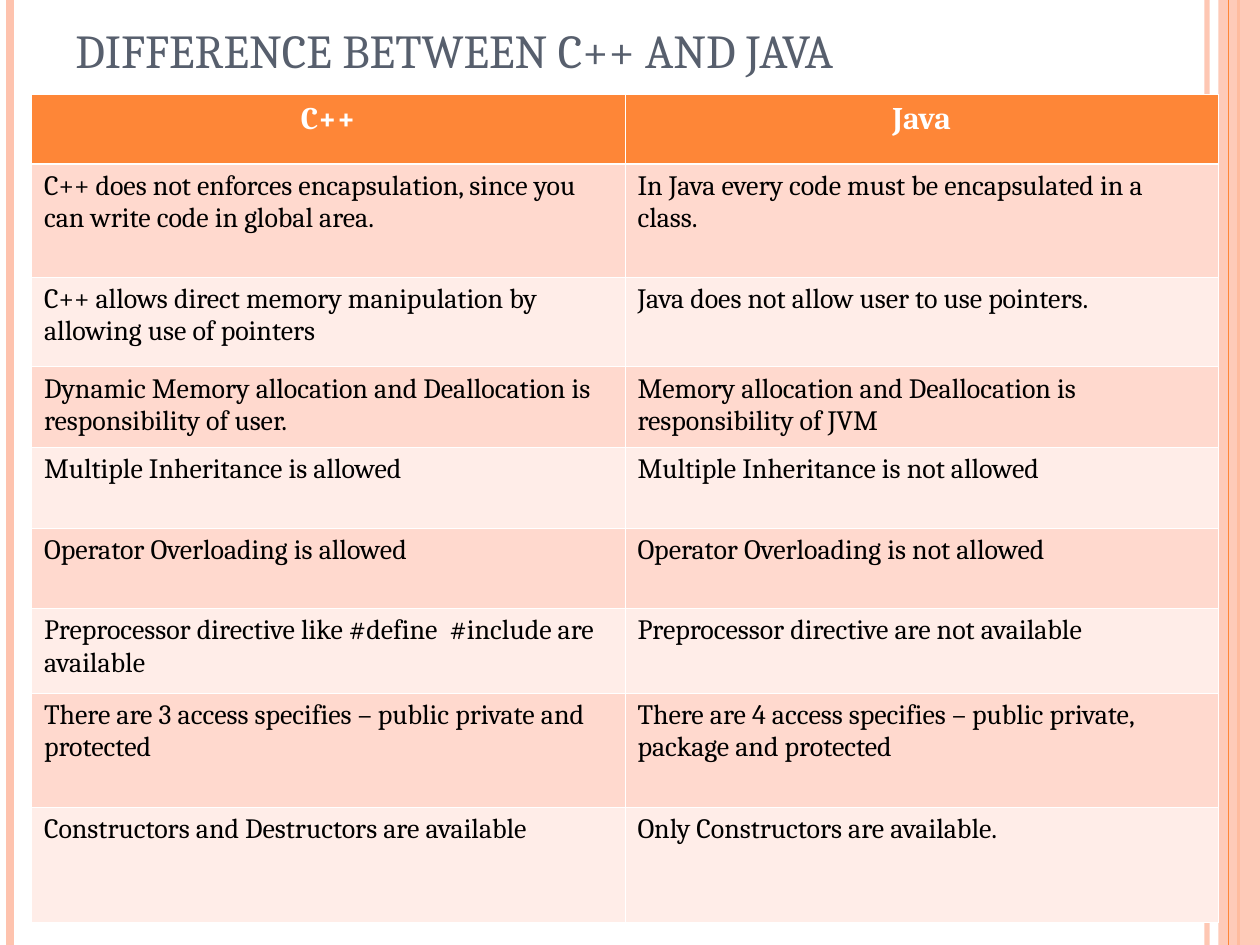
"""Build a slide comparing C++ and Java in a two-column table."""
from lxml import etree
from pptx import Presentation
from pptx.dml.color import RGBColor
from pptx.enum import shapes, text
from pptx.oxml import ns
from pptx.util import Inches, Pt

ORANGE = RGBColor(0xFE, 0x86, 0x37)
PEACH = RGBColor(0xFE, 0xC3, 0xAE)
ROSE = RGBColor(0xFF, 0xD9, 0xCE)
CREAM = RGBColor(0xFF, 0xED, 0xE8)
SLATE = RGBColor(0x57, 0x5F, 0x6D)
WHITE = RGBColor(0xFF, 0xFF, 0xFF)
BLACK = RGBColor(0, 0, 0)
FONT = "Cambria"

TITLE = "DIFFERENCE BETWEEN C++ AND JAVA"
ROWS = [
    (0.55, "C++", "Java"),
    (0.9, "C++ does not enforces encapsulation, since you can write code in global area.",
     "In Java every code must be encapsulated in a class."),
    (0.71, "C++ allows direct memory manipulation by allowing use of pointers",
     "Java does not allow user to use pointers."),
    (0.64, "Dynamic Memory allocation and Deallocation is responsibility of user.",
     "Memory allocation and Deallocation is responsibility of JVM"),
    (0.64, "Multiple Inheritance is allowed", "Multiple Inheritance is not allowed"),
    (0.64, "Operator Overloading is allowed", "Operator Overloading is not allowed"),
    (0.67, "Preprocessor directive like #define  #include are available",
     "Preprocessor directive are not available"),
    (0.91, "There are 3 access specifies – public private and protected",
     "There are 4 access specifies – public private, package and protected"),
    (0.91, "Constructors and Destructors are available", "Only Constructors are available."),
]
LINES = [(9.58, PEACH, 3, 93), (0.08, PEACH, 4.5, 100), (9.83, ORANGE, 1.5, 100)]
EDGE = (9.75, ORANGE, 0.75, 100)
BAND = (9.67, 0, 0.33, 7.5)
COLS = 2
WIDTH = 9.42


def fade(node, pct):
    if pct < 100:
        tint = next(node.iter(ns.qn("a:srgbClr")))
        etree.SubElement(tint, ns.qn("a:alpha"), val=str(pct * 1000))


def style(para, size, color, bold=False):
    font = para.font
    font.name, font.size, font.bold = FONT, Pt(size), bold
    font.color.rgb = color


def add_line(slide, x, color, width, alpha):
    line = slide.shapes.add_connector(
        shapes.MSO_CONNECTOR.STRAIGHT, Inches(x), 0, Inches(x), Inches(7.5))
    line.line.color.rgb = color
    line.line.width = Pt(width)
    props = line.element.spPr
    fade(props, alpha)
    etree.SubElement(props, ns.qn("a:effectLst"))


def add_band(slide):
    band = slide.shapes.add_shape(
        shapes.MSO_SHAPE.RECTANGLE, *[Inches(n) for n in BAND])
    band.shadow.inherit = False
    band.fill.solid()
    band.fill.fore_color.rgb = PEACH
    fade(band.element.spPr, 87)
    band.line.fill.background()


def add_title(slide):
    box = slide.shapes.add_textbox(Inches(0.5), Inches(0.3), Inches(8.17), Inches(0.37))
    frame = box.text_frame
    frame.word_wrap = True
    frame.vertical_anchor = text.MSO_ANCHOR.BOTTOM
    frame.text = TITLE
    style(frame.paragraphs[0], 27, SLATE)


def add_border(cell, row):
    props = cell._tc.get_or_add_tcPr()
    thick = {"T": row == 1, "B": row == 0}
    for spot, side in enumerate("LRTB"):
        width = Pt(1.47 if thick.get(side) else 0.45)
        line = etree.Element(ns.qn("a:ln" + side), w=str(width))
        fill = etree.SubElement(line, ns.qn("a:solidFill"))
        etree.SubElement(fill, ns.qn("a:srgbClr"), val=str(WHITE))
        props.insert(spot, line)


def add_grid(slide):
    high = sum(row[0] for row in ROWS)
    grid = slide.shapes.add_table(
        len(ROWS), COLS, Inches(0.25), Inches(0.75), Inches(WIDTH), Inches(high)).table
    for col in grid.columns:
        col.width = Inches(WIDTH / COLS)
    for r, (height, *words) in enumerate(ROWS):
        grid.rows[r].height = Inches(height)
        for c, word in enumerate(words):
            cell = grid.cell(r, c)
            cell.text = word
            cell.fill.solid()
            cell.fill.fore_color.rgb = (ROSE if r % 2 else CREAM) if r else ORANGE
            add_border(cell, r)
            para = cell.text_frame.paragraphs[0]
            if r:
                style(para, 16, BLACK)
            else:
                para.alignment = text.PP_ALIGN.CENTER
                style(para, 18, WHITE, True)


def main():
    deck = Presentation()
    deck.slide_width, deck.slide_height = Inches(10), Inches(7.5)
    slide = deck.slides.add_slide(deck.slide_layouts[6])
    for line in LINES:
        add_line(slide, *line)
    add_band(slide)
    add_line(slide, *EDGE)
    add_title(slide)
    add_grid(slide)
    deck.save("out.pptx")


if __name__ == "__main__":
    main()
